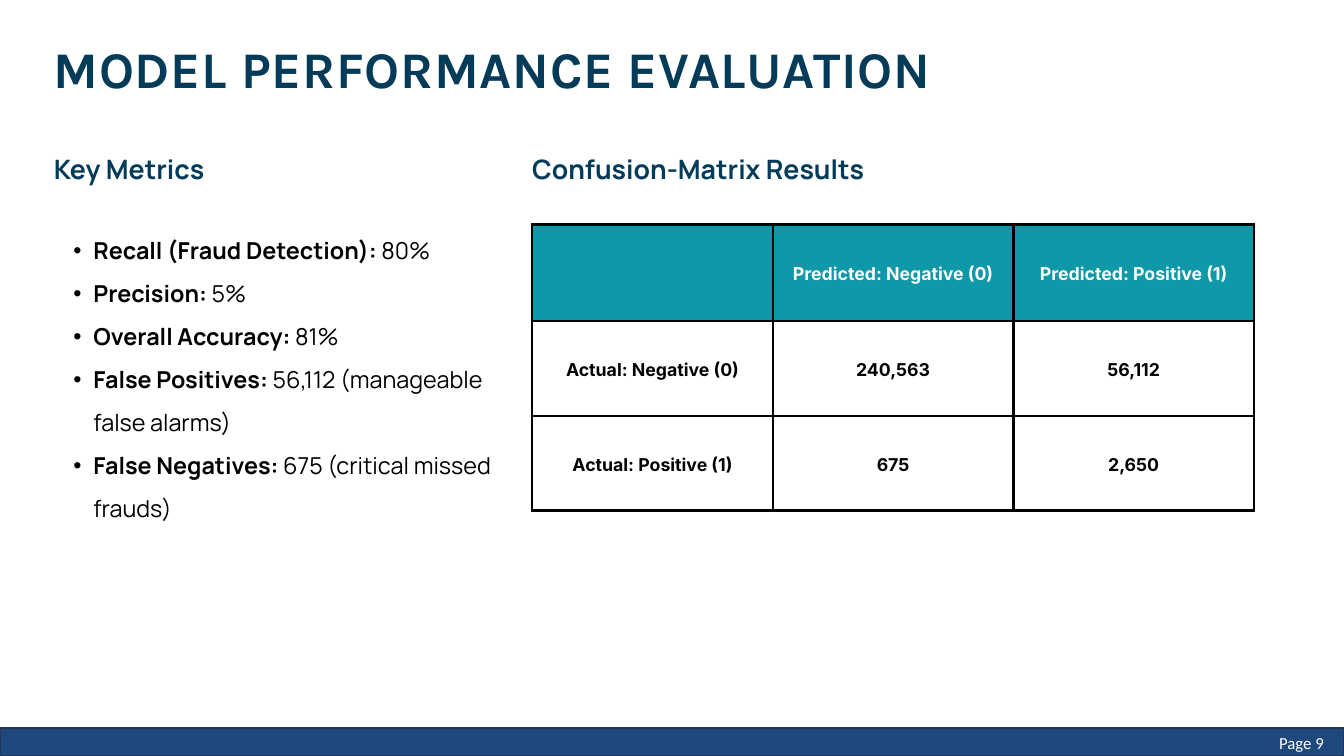
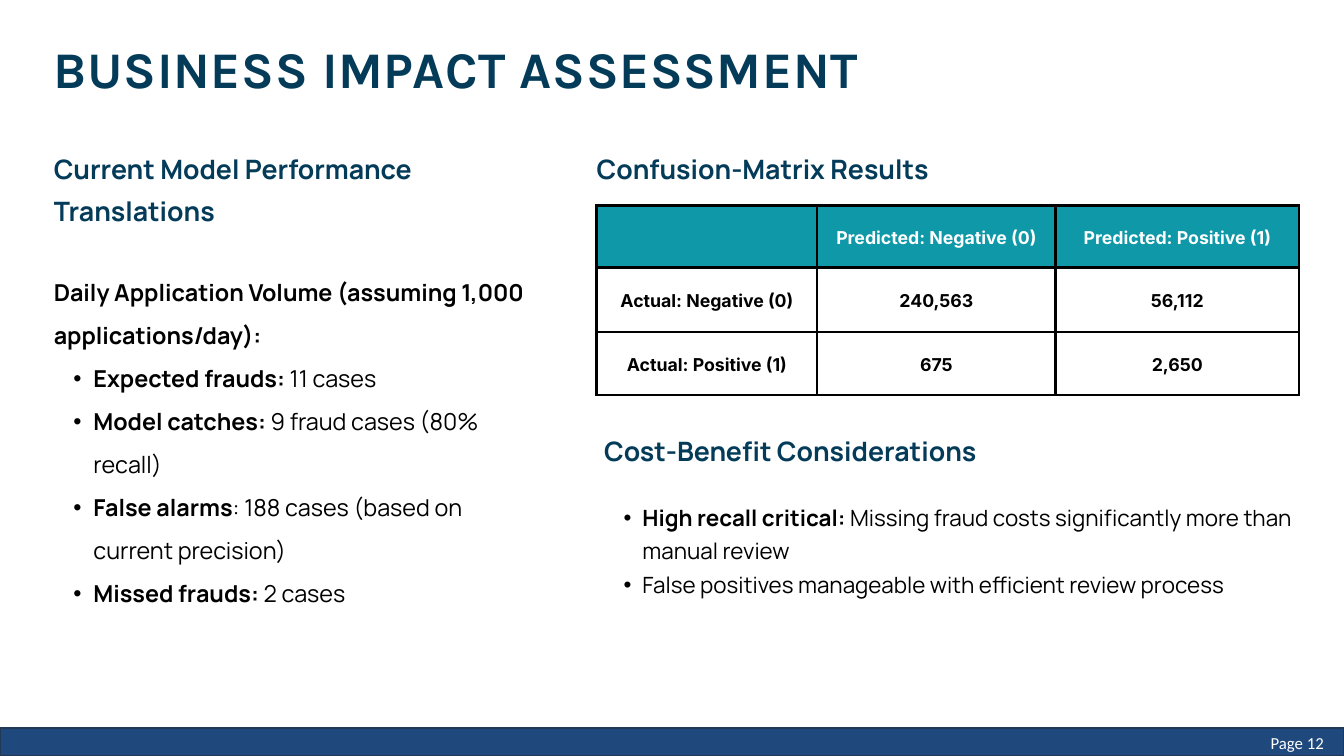
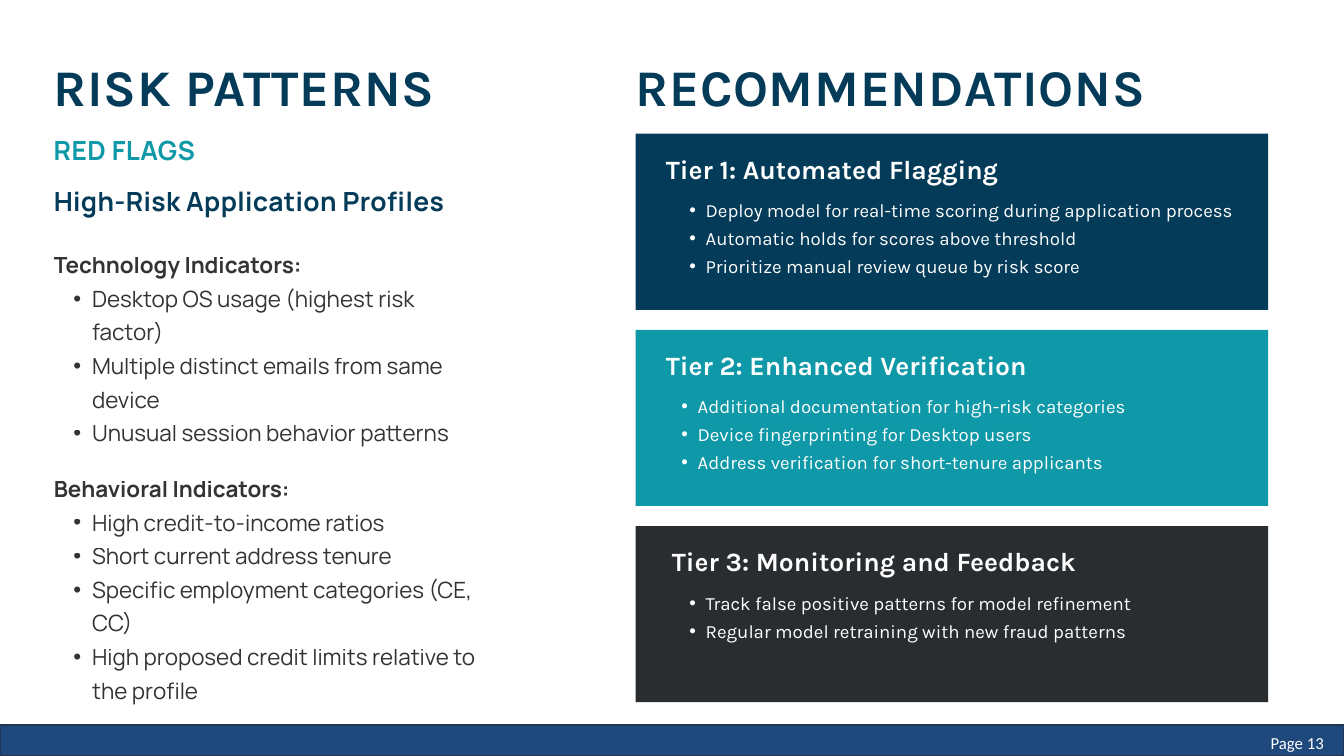
import dataclasses

import pptx
import pptx.dml.color
import pptx.enum.shapes
import pptx.enum.text
import pptx.oxml
import pptx.oxml.ns
import pptx.util
from lxml import etree

RGBColor = pptx.dml.color.RGBColor
Pt = pptx.util.Pt
ALIGN = pptx.enum.text.PP_ALIGN
ANCHOR = pptx.enum.text.MSO_ANCHOR

NAVY = RGBColor(0x03, 0x3B, 0x59)
TEAL = RGBColor(0x0F, 0x98, 0xA8)
CHARCOAL = RGBColor(0x2A, 0x2D, 0x30)
BAND = RGBColor(0x1F, 0x49, 0x7D)
BAND_EDGE = RGBColor(0x23, 0x39, 0x53)
BLACK = RGBColor(0, 0, 0)
WHITE = RGBColor(0xFF, 0xFF, 0xFF)

COLUMNS, ROWS = 80, 45
CELL = pptx.util.Inches(0.25)
MARGIN = 3.2


@dataclasses.dataclass(frozen=True)
class TextStyle:
    """Type settings; indent and hang are in grid columns."""
    font: str
    size: float
    color: RGBColor
    leading: float = None
    bold: bool = False
    tracking: int = 0
    opacity: int = 100
    indent: float = 0
    hang: float = 0
    align: ALIGN = ALIGN.LEFT


TITLE = TextStyle("Karla", 55, NAVY, 66, bold=True, tracking=80)
HEADING = TextStyle("Manrope", 28.6, NAVY, 42.9, bold=True)
BODY_HEADING = dataclasses.replace(HEADING, leading=44.9)
PROFILE = TextStyle("Manrope", 28.3, NAVY, 34, bold=True, tracking=40)
FLAG = dataclasses.replace(PROFILE, color=TEAL)
METRIC = TextStyle("Manrope", 25, BLACK, 46, indent=2.36, hang=1.2)
POINT = TextStyle("Manrope", 24, BLACK, 36, indent=2.28, hang=1.12)
INDICATOR = dataclasses.replace(POINT, opacity=80)
TIER = TextStyle("Karla", 28.3, WHITE, 42.4, bold=True)
ACTION = TextStyle("Karla", 20, WHITE, 30, indent=1.88, hang=0.96)
MATRIX = TextStyle("Inter", 19, BLACK, 26.6, bold=True, align=ALIGN.CENTER)
MATRIX_HEAD = dataclasses.replace(MATRIX, color=WHITE)
PAGE_NUMBER = TextStyle("Calibri", 18, WHITE, align=ALIGN.RIGHT)

CONFUSION_MATRIX = [
    ["", "Predicted: Negative (0)", "Predicted: Positive (1)"],
    ["Actual: Negative (0)", "240,563", "56,112"],
    ["Actual: Positive (1)", "675", "2,650"],
]


def grid(cells):
    return pptx.util.Emu(round(cells * CELL))


def plain(style):
    """The style without bullet indent, in bold, for a line that leads a list."""
    return dataclasses.replace(style, indent=0, hang=0, bold=True)


class Report:
    def __init__(self):
        self.deck = pptx.Presentation()
        self.deck.slide_width = grid(COLUMNS)
        self.deck.slide_height = grid(ROWS)
        self.page = None

    def new_page(self, title, top=2.2, width=74.08):
        self.page = self.deck.slides.add_slide(self.deck.slide_layouts[5])
        self.page.background.fill.solid()
        self.page.background.fill.fore_color.rgb = WHITE
        box = self.page.shapes.title
        box.left, box.top = grid(MARGIN), grid(top)
        box.width, box.height = grid(width), grid(3.6)
        self.prepare(box.text_frame)
        self.line(box.text_frame, TITLE, title)

    def prepare(self, frame):
        frame.word_wrap = True
        frame.auto_size = pptx.enum.text.MSO_AUTO_SIZE.NONE
        frame.vertical_anchor = ANCHOR.TOP
        frame.margin_left = frame.margin_right = 0
        frame.margin_top = frame.margin_bottom = 0

    def box(self, left, top, width, height):
        frame = self.page.shapes.add_textbox(
            grid(left), grid(top), grid(width), grid(height)).text_frame
        self.prepare(frame)
        return frame

    def label(self, left, top, width, height, style, text):
        frame = self.box(left, top, width, height)
        self.line(frame, style, text)
        return frame

    def line(self, frame, style, text, rest="", gap=0):
        """Adds a paragraph of text, then rest in regular weight."""
        para = frame.paragraphs[0]
        if para.runs:
            para = frame.add_paragraph()
        para.alignment = style.align
        para.space_before = Pt(gap)
        if style.leading:
            para.line_spacing = Pt(style.leading)
        if style.indent:
            self.bullet(para, style)
        self.span(para, style, text)
        if rest:
            self.span(para, dataclasses.replace(style, bold=False), rest)

    def bullet(self, para, style):
        properties = para._p.get_or_add_pPr()
        properties.set("marL", str(grid(style.indent)))
        properties.set("indent", str(grid(-style.hang)))
        typeface = etree.SubElement(properties, pptx.oxml.ns.qn("a:buFont"))
        typeface.set("typeface", "Arial")
        mark = etree.SubElement(properties, pptx.oxml.ns.qn("a:buChar"))
        mark.set("char", "•")

    def span(self, para, style, text):
        span = para.add_run()
        span.text = text
        span.font.name = style.font
        span.font.size = Pt(style.size)
        span.font.bold = style.bold
        span.font.color.rgb = style.color
        properties = span._r.get_or_add_rPr()
        if style.tracking:
            properties.set("spc", str(style.tracking))
        if style.opacity < 100:
            color = properties.find(".//" + pptx.oxml.ns.qn("a:srgbClr"))
            alpha = etree.SubElement(color, pptx.oxml.ns.qn("a:alpha"))
            alpha.set("val", str(style.opacity * 1000))

    def bullets(self, frame, style, items, gap=0):
        """Items are plain strings or pairs of a bold lead and the rest."""
        for number, item in enumerate(items):
            space = 0 if number else gap
            if isinstance(item, str):
                self.line(frame, style, item, gap=space)
            else:
                lead = dataclasses.replace(style, bold=True)
                self.line(frame, lead, *item, gap=space)

    def panel(self, left, top, width, height, fill, edge=None):
        shape = self.page.shapes.add_shape(
            pptx.enum.shapes.MSO_SHAPE.RECTANGLE,
            grid(left), grid(top), grid(width), grid(height))
        shape.shadow.inherit = False
        shape.fill.solid()
        shape.fill.fore_color.rgb = fill
        if edge is None:
            shape.line.fill.background()
        else:
            shape.line.color.rgb = edge
            shape.line.width = Pt(2)

    def matrix(self, left, top, widths, heights):
        table = self.page.shapes.add_table(
            len(heights), len(widths), grid(left), grid(top),
            grid(sum(widths)), grid(sum(heights))).table
        table.first_row = table.horz_banding = False
        for column, width in zip(table.columns, widths):
            column.width = grid(width)
        for row, height in zip(table.rows, heights):
            row.height = grid(height)
        for r, values in enumerate(CONFUSION_MATRIX):
            for c, value in enumerate(values):
                self.matrix_cell(table.cell(r, c), value, header=r == 0)

    def matrix_cell(self, cell, value, header):
        cell.vertical_anchor = ANCHOR.MIDDLE
        cell.margin_left = cell.margin_right = grid(0.84)
        cell.margin_top = cell.margin_bottom = grid(0.84)
        if header:
            cell.fill.solid()
            cell.fill.fore_color.rgb = TEAL
        else:
            cell.fill.background()
        if value:
            self.line(cell.text_frame, MATRIX_HEAD if header else MATRIX, value)
        properties = cell._tc.get_or_add_tcPr()
        for order, side in enumerate(("lnL", "lnR", "lnT", "lnB")):
            properties.insert(order, pptx.oxml.parse_xml(
                f'<a:{side} {pptx.oxml.ns.nsdecls("a")} w="{Pt(3)}"><a:solidFill>'
                f'<a:srgbClr val="{BLACK}"/></a:solidFill></a:{side}>'))

    def footer(self, number, top=43.32):
        self.panel(0, top, COLUMNS, ROWS - top, BAND, BAND_EDGE)
        frame = self.label(75.08, 43.4, 4.36, 1.6, PAGE_NUMBER, f"Page {number}")
        frame.vertical_anchor = ANCHOR.MIDDLE
        frame.margin_right = grid(0.64)


def performance_page(report):
    report.new_page("MODEL PERFORMANCE EVALUATION")
    metrics = report.label(MARGIN, 8.52, 26.88, 24.52, BODY_HEADING, "Key Metrics")
    report.bullets(metrics, METRIC, [
        ("Recall (Fraud Detection): ", "80%"),
        ("Precision:", " 5%"),
        ("Overall Accuracy:", " 81%"),
        ("False Positives:", " 56,112 (manageable false alarms)"),
        ("False Negatives: ", "675 (critical missed frauds)"),
    ], gap=39.2)
    report.matrix(31.68, 13.36, [14.32] * 3, [5.76, 5.64, 5.64])
    report.label(31.68, 8.6, 33.44, 2.32, HEADING, "Confusion-Matrix Results")
    report.footer(9)


def impact_page(report):
    report.new_page("BUSINESS IMPACT ASSESSMENT")
    volume = report.label(MARGIN, 8.52, 28.08, 30.2, BODY_HEADING,
                          "Current Model Performance Translations")
    report.line(volume, plain(METRIC),
                "Daily Application Volume (assuming 1,000 applications/day):", gap=39.2)
    report.bullets(volume, METRIC, [
        ("Expected frauds:", " 11 cases"),
        ("Model catches: ", "9 fraud cases (80% recall)"),
        ("False alarms", ": 188 cases (based on current precision)"),
        ("Missed frauds: ", "2 cases"),
    ])
    report.matrix(35.52, 12.24, [13.12, 14.2, 14.48], [3.68, 3.84, 3.76])
    report.label(35.52, 8.6, 33.44, 2.32, HEADING, "Confusion-Matrix Results")
    report.label(35.96, 25.4, 33.44, 2.32, HEADING, "Cost-Benefit Considerations")
    report.bullets(report.box(35.96, 29.6, 41.32, 8), POINT, [
        ("High recall critical: ",
         "Missing fraud costs significantly more than manual review"),
        "False positives manageable with efficient review process",
    ])
    report.footer(12)


def recommendations_page(report):
    report.new_page("RISK PATTERNS", top=3.28, width=23.44)
    card_left, card_top, card_width, card_height, card_pitch = 37.84, 7.96, 37.64, 10.48, 11.68
    report.label(card_left, 3.28, card_width, 3.6, TITLE, "RECOMMENDATIONS")

    # Each tier: fill, title inset, list inset, list width, title, actions
    tiers = [
        (NAVY, 1.8, 2.28, 37.16, "Tier 1: Automated Flagging", [
            "Deploy model for real-time scoring during application process",
            "Automatic holds for scores above threshold",
            "Prioritize manual review queue by risk score"]),
        (TEAL, 1.8, 1.8, 33.52, "Tier 2: Enhanced Verification", [
            "Additional documentation for high-risk categories",
            "Device fingerprinting for Desktop users",
            "Address verification for short-tenure applicants"]),
        (CHARCOAL, 2.16, 2.28, 31.8, "Tier 3: Monitoring and Feedback", [
            "Track false positive patterns for model refinement",
            "Regular model retraining with new fraud patterns"]),
    ]
    for number, (fill, title_inset, list_inset, width, title, actions) in enumerate(tiers):
        top = card_top + number * card_pitch
        report.panel(card_left, top, card_width, card_height, fill)
        report.label(card_left + title_inset, top + 0.68, 26.28, 2.2, TIER, title)
        frame = report.box(card_left + list_inset, top + 3.56,
                           width, 1.68 * len(actions) + 1.6)
        report.bullets(frame, ACTION, actions)

    report.label(MARGIN, 7.96, 23.44, 2, FLAG, "RED FLAGS")
    report.label(MARGIN, 11, 27.12, 2, PROFILE, "High-Risk Application Profiles")
    indicators = [
        (14.56, 13.68, "Technology Indicators:", [
            "Desktop OS usage (highest risk factor)",
            "Multiple distinct emails from same device",
            "Unusual session behavior patterns"]),
        (27.88, 15.64, "Behavioral Indicators:", [
            "High credit-to-income ratios",
            "Short current address tenure",
            "Specific employment categories (CE, CC)",
            "High proposed credit limits relative to the profile"]),
    ]
    for top, height, heading, signs in indicators:
        frame = report.label(MARGIN, top, 25.52, height, plain(INDICATOR), heading)
        report.bullets(frame, INDICATOR, signs)
    report.footer(13, top=43.16)


def main():
    report = Report()
    performance_page(report)
    impact_page(report)
    recommendations_page(report)
    report.deck.save("out.pptx")


if __name__ == "__main__":
    main()
